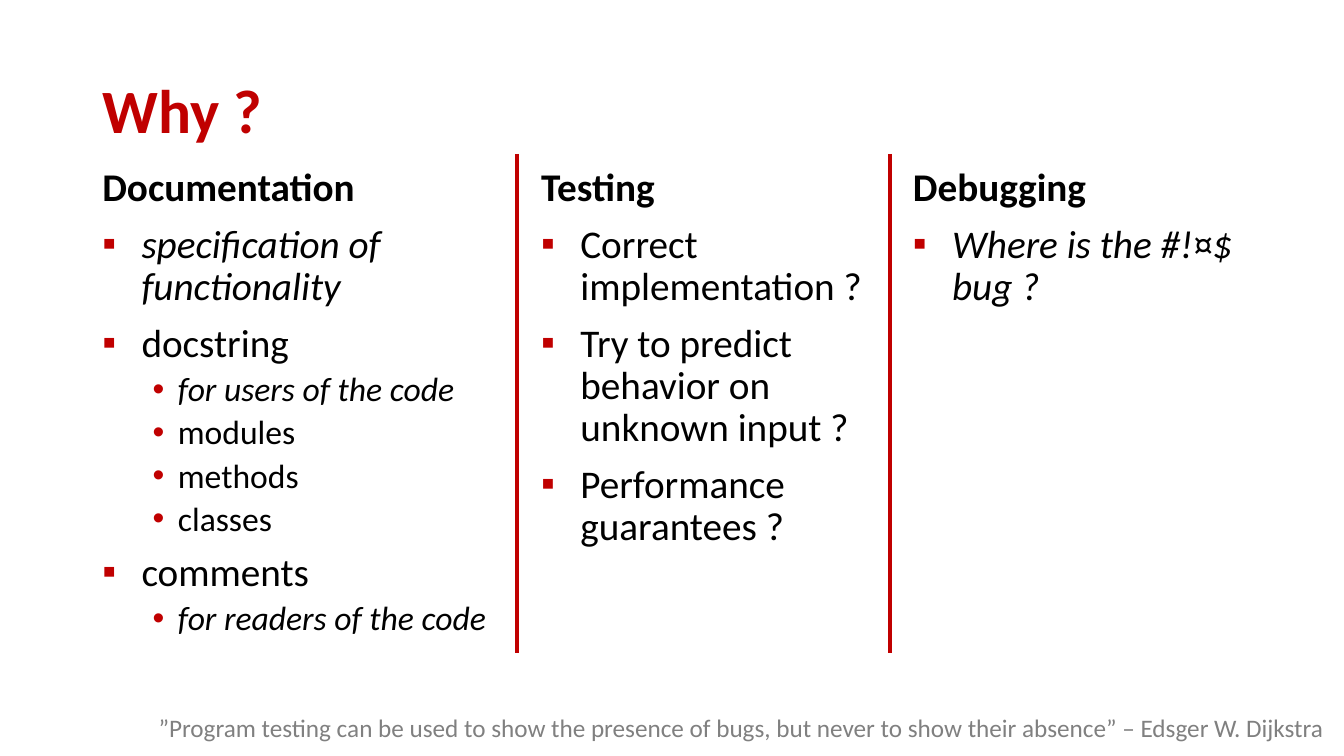
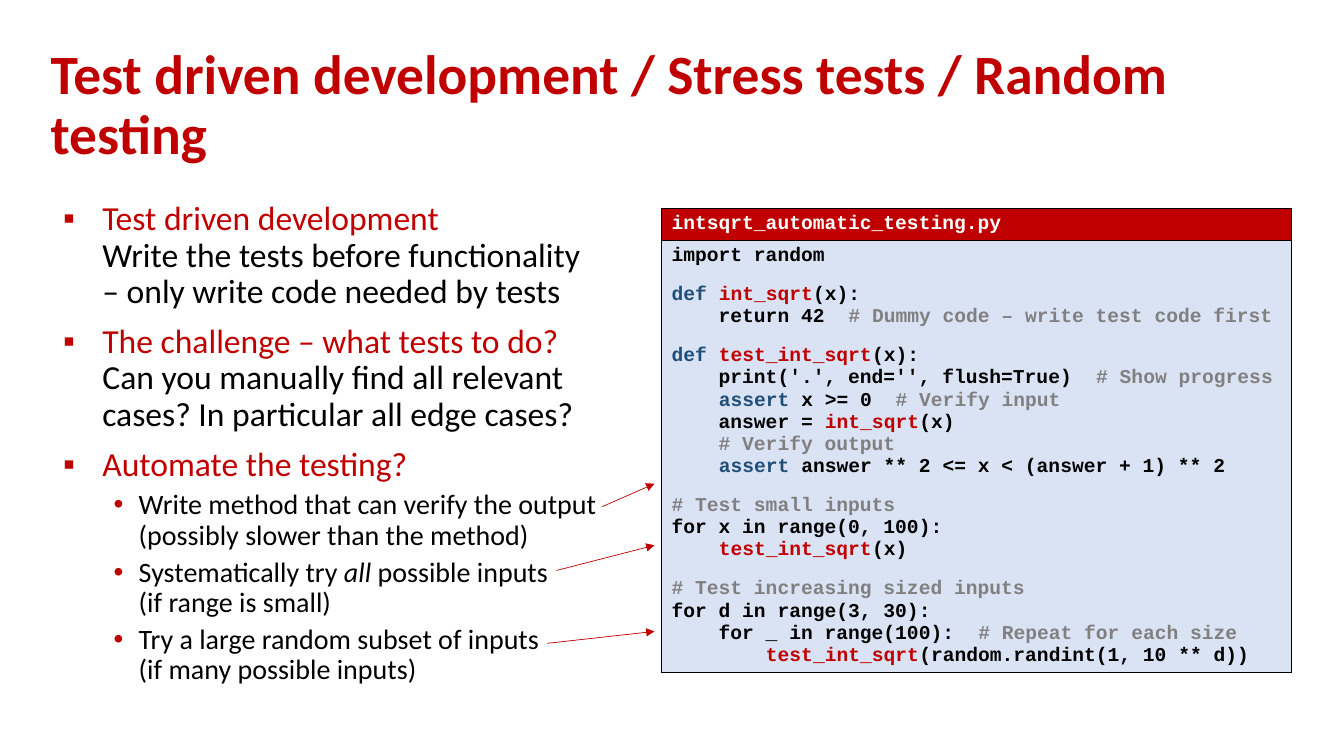
import pptx
import pptx.dml.color
import pptx.enum.shapes
import pptx.enum.text
import pptx.oxml
import pptx.oxml.ns
import pptx.util

Pt = pptx.util.Pt
RGBColor = pptx.dml.color.RGBColor

RED = RGBColor(0xC0, 0x00, 0x00)
BLACK = RGBColor(0x00, 0x00, 0x00)
WHITE = RGBColor(0xFF, 0xFF, 0xFF)
GRAY = RGBColor(0x80, 0x80, 0x80)
NAVY = RGBColor(0x1F, 0x4E, 0x79)
PALE_BLUE = RGBColor(0xDA, 0xE3, 0xF3)

TEXT_FONT = "Calibri"
CODE_FONT = "Courier New"

# Kind of paragraph: left margin, hanging indent, space before, bullet
KINDS = {
    "head": (0, 0, 10, None),
    "item": (28, 28, 10, "▪"),
    "sub": (54, 18, 5, "•"),
}

# Code pieces that are not black; comments are grey
TINTS = {"def": NAVY, "assert": NAVY, "int_sqrt": RED, "test_int_sqrt": RED}


def add_xml(parent, tag, inner="", **attrs):
    """Append an element of the drawing namespace."""
    text = "".join(f' {k}="{v}"' for k, v in attrs.items())
    ns = pptx.oxml.ns.nsdecls("a")
    parent.append(pptx.oxml.parse_xml(f"<a:{tag} {ns}{text}>{inner}</a:{tag}>"))


def solid(color):
    return f'<a:solidFill><a:srgbClr val="{color}"/></a:solidFill>'


class Deck:
    """The shared style and the slide being built."""

    def __init__(self):
        self.prs = pptx.Presentation()
        self.prs.slide_width, self.prs.slide_height = Pt(960), Pt(540)
        self.s = None

    def set_font(self, font, size, color=None, bold=False, name=TEXT_FONT):
        font.name, font.size, font.bold = name, Pt(size), bold
        if color is not None:
            font.color.rgb = color

    def add_slide(self, title, box, size):
        self.s = self.prs.slides.add_slide(self.prs.slide_layouts[5])
        sp = self.s.shapes.title
        sp.left, sp.top, sp.width, sp.height = map(Pt, box)
        tf = sp.text_frame
        tf.text = title
        tf.auto_size = pptx.enum.text.MSO_AUTO_SIZE.NONE
        tf.vertical_anchor = pptx.enum.text.MSO_ANCHOR.MIDDLE
        p = tf.paragraphs[0]
        p.alignment = pptx.enum.text.PP_ALIGN.LEFT
        p.line_spacing = 0.9
        self.set_font(p.font, size, RED, bold=True)

    def text_box(self, box):
        tf = self.s.shapes.add_textbox(*map(Pt, box)).text_frame
        tf.word_wrap = True
        return tf

    def next_paragraph(self, tf, first):
        return tf.paragraphs[0] if first else tf.add_paragraph()

    def add_run(self, p, text, color=None, italic=None):
        for i, line in enumerate(text.split("\n")):
            if i:
                p.add_line_break()
            if line:
                r = p.add_run()
                r.text = line
                if color is not None:
                    r.font.color.rgb = color
                if italic:
                    r.font.italic = True

    def bullets(self, box, size, paragraphs):
        """Each paragraph is its kind, then runs of (text, colour, italic)."""
        tf = self.text_box(box)
        for i, (kind, *runs) in enumerate(paragraphs):
            p = self.next_paragraph(tf, i == 0)
            margin, hang, before, bullet = KINDS[kind]
            p.line_spacing, p.space_before = 0.9, Pt(before)
            if bullet:
                pPr = p._p.get_or_add_pPr()
                pPr.set("marL", str(Pt(margin)))
                pPr.set("indent", str(-Pt(hang)))
                add_xml(pPr, "buClr", f'<a:srgbClr val="{RED}"/>')
                add_xml(pPr, "buFont", typeface="Arial")
                add_xml(pPr, "buChar", char=bullet)
            self.set_font(p.font, size - 4 * (kind == "sub"), BLACK,
                          bold=kind == "head")
            for run in runs:
                self.add_run(p, *run)

    def line(self, x1, y1, x2, y2, width, arrow=False):
        sp = self.s.shapes.add_connector(
            pptx.enum.shapes.MSO_CONNECTOR.STRAIGHT, *map(Pt, (x1, y1, x2, y2)))
        sp.line.color.rgb = RED
        sp.line.width = Pt(width)
        if arrow:
            add_xml(sp.line._get_or_add_ln(), "tailEnd", type="triangle")
        add_xml(sp._element.spPr, "effectLst")

    def quote(self, text):
        p = self.text_box((66, 505, 887, 29)).paragraphs[0]
        p.alignment = pptx.enum.text.PP_ALIGN.RIGHT
        self.set_font(p.font, 18, GRAY)
        self.add_run(p, text)

    def code_table(self, left, top, width, heights, name, blocks):
        """A file name over its code; "|" separates pieces of a line."""
        table = self.s.shapes.add_table(
            2, 1, Pt(left), Pt(top), Pt(width), Pt(sum(heights))).table
        for i, fill in enumerate((RED, PALE_BLUE)):
            table.rows[i].height = Pt(heights[i])
            cell = table.cell(i, 0)
            tcPr = cell._tc.get_or_add_tcPr()
            for side in "LRTB":
                add_xml(tcPr, f"ln{side}", solid(BLACK), w=Pt(0.5))
            cell.fill.solid()
            cell.fill.fore_color.rgb = fill

        # File name
        cell = table.cell(0, 0)
        cell.vertical_anchor = pptx.enum.text.MSO_ANCHOR.MIDDLE
        p = cell.text_frame.paragraphs[0]
        self.set_font(p.font, 14, WHITE, bold=True, name=CODE_FONT)
        self.add_run(p, name, WHITE)

        # Code, with a gap above each block but the first
        tf = table.cell(1, 0).text_frame
        for b, block in enumerate(blocks):
            for n, line in enumerate(block):
                p = self.next_paragraph(tf, b == n == 0)
                if b and n == 0:
                    p.space_before = Pt(12)
                self.set_font(p.font, 14, bold=True, name=CODE_FONT)
                for piece in line.split("|"):
                    word = piece.strip()
                    color = GRAY if word.startswith("#") else TINTS.get(word, BLACK)
                    self.add_run(p, piece, color)


DOCUMENTATION = [
    ("head", ("Documentation",)),
    ("item", ("specification of functionality", None, True)),
    ("item", ("docstring",)),
    ("sub", ("for users of the code", None, True)),
    ("sub", ("modules",)),
    ("sub", ("methods",)),
    ("sub", ("classes",)),
    ("item", ("comments",)),
    ("sub", ("for readers of the code", None, True)),
]
TESTING = [
    ("head", ("Testing",)),
    ("item", ("Correct implementation ?",)),
    ("item", ("Try to predict behavior on unknown input ?",)),
    ("item", ("Performance guarantees ?",)),
]
DEBUGGING = [
    ("head", ("Debugging",)),
    ("item", ("Where is the #!¤$ bug ?", None, True)),
]
STRATEGY = [
    ("item", ("Test driven development\n", RED),
     ("Write the tests before functionality – only write code needed by tests",)),
    ("item", ("The challenge – what tests to do? ", RED),
     ("Can you manually find all relevant cases? In particular all edge cases?",)),
    ("item", ("Automate the testing?", RED)),
    ("sub", ("Write method that can verify the output\n"
             "(possibly slower than the method)",)),
    ("sub", ("Systematically try ",), ("all", None, True),
     (" possible inputs \n(if range is small)",)),
    ("sub", ("Try a large random subset of inputs \n(if many possible inputs)",)),
]
CODE = [
    ["import random"],
    ["def |int_sqrt|(x):",
     "    return 42  |# Dummy code – write test code first"],
    ["def |test_int_sqrt|(x):",
     "    print('.', end='', flush=True)  |# Show progress",
     "    |assert| x >= 0  |# Verify input",
     "    answer = |int_sqrt|(x)",
     "    # Verify output",
     "    |assert| answer ** 2 <= x < (answer + 1) ** 2"],
    ["# Test small inputs",
     "for x in range(0, 100):",
     "    |test_int_sqrt|(x)"],
    ["# Test increasing sized inputs",
     "for d in range(3, 30):",
     "    for _ in range(100):  |# Repeat for each size",
     "        |test_int_sqrt|(random.randint(1, 10 ** d))"],
]


def main():
    deck = Deck()

    # Slide 1: three columns with separators
    deck.add_slide("Why ?", (66, 29, 828, 104), 44)
    for left, width, column in ((66, 290, DOCUMENTATION), (379.5, 279, TESTING),
                                (645, 279, DEBUGGING)):
        deck.bullets((left, 116.5, width, 350), 28, column)
    for x in (369.5, 636):
        deck.line(x, 110, x, 466.5, 3)
    deck.quote("”Program testing can be used to show the presence of bugs, "
               "but never to show their absence” – Edsger W. Dijkstra")

    # Slide 2: strategy on the left, code on the right
    deck.add_slide("Test driven development / Stress tests / Random testing",
                   (29, 32.5, 911.5, 87), 39.6)
    deck.code_table(472.5, 148.5, 450, (23, 309),
                    "intsqrt_automatic_testing.py", CODE)
    deck.bullets((38, 140.5, 397.5, 356), 24, STRATEGY)
    for x, y, end_y in ((430, 362, 345.5), (397.5, 407.5, 389.5), (391, 459.5, 451)):
        deck.line(x, y, 467.5, end_y, 0.5, arrow=True)

    deck.prs.save("out.pptx")


if __name__ == "__main__":
    main()
